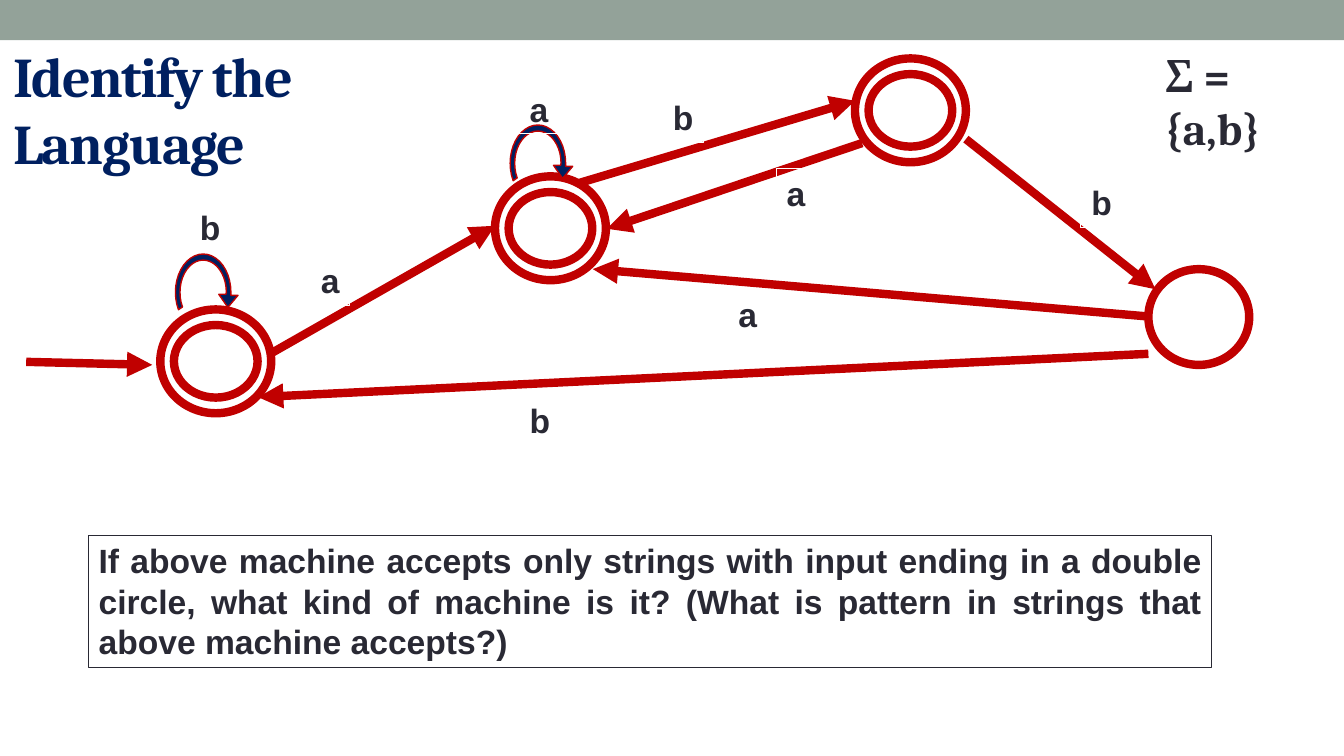
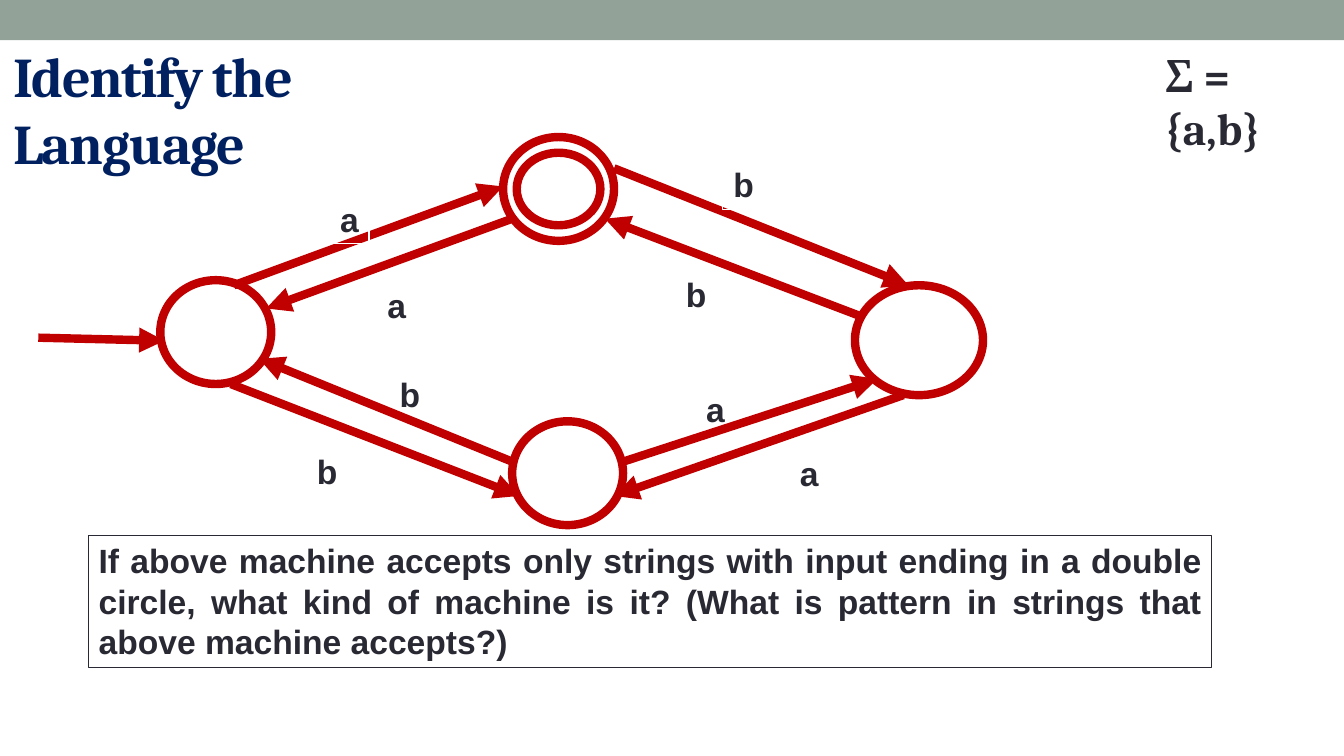
from dataclasses import dataclass
from math import cos, radians, sin

from lxml.etree import SubElement
from pptx import Presentation
from pptx.dml.color import RGBColor
from pptx.enum.shapes import MSO_CONNECTOR as CONNECTOR, MSO_SHAPE as SHAPE
from pptx.enum.text import MSO_ANCHOR as ANCHOR, MSO_AUTO_SIZE as AUTO_SIZE, PP_ALIGN as ALIGN
from pptx.oxml.ns import qn
from pptx.util import Inches, Pt


@dataclass(frozen=True)
class Theme:
    band: RGBColor = RGBColor.from_string("93A299")
    navy: RGBColor = RGBColor.from_string("002060")
    red: RGBColor = RGBColor.from_string("C00000")
    ink: RGBColor = RGBColor.from_string("292934")
    white: RGBColor = RGBColor.from_string("FFFFFF")
    heading_font: str = "Cambria"
    body_font: str = "Arial"
    title_size: Pt = Pt(40)
    alphabet_size: Pt = Pt(32)
    body_size: Pt = Pt(24)
    stroke: Pt = Pt(6)
    hairline: Pt = Pt(0.75)


theme = Theme()


def write(shape, text, font, size, color, align):
    shape.text_frame.text = text
    paragraph = shape.text_frame.paragraphs[0]
    paragraph.alignment = align
    run = paragraph.runs[0]
    run.font.name, run.font.size, run.font.bold = font, size, True
    run.font.color.rgb = color
    return run


def add_label(slide, text, left, top):
    width = 0.39 if text == "a" else 0.41
    label = slide.shapes.add_textbox(Inches(left), Inches(top), Inches(width), Inches(0.5))
    label.line.color.rgb = theme.white
    label.line.width = theme.hairline
    label.text_frame.word_wrap = False
    write(label, text, theme.body_font, theme.body_size, theme.ink, ALIGN.CENTER)


TITLE = "Identify the Language"
ALPHABET = "Σ = {a,b}"
QUESTION = (
    "If above machine accepts only strings with input ending in a double circle, "
    "what kind of machine is it? (What is pattern in strings that above machine accepts?)"
)
STATE_SIZE = (1.1, 1.03)
ACCEPT_SIZE = (0.83, 0.72)

machines = [
    {
        "states": [
            (1.59, 3.07, *STATE_SIZE, True),
            (4.91, 1.75, *STATE_SIZE, True),
            (8.48, 0.58, *STATE_SIZE, True),
            (11.39, 2.67, 1, 0.95, False),
        ],
        "arrows": [
            (0.26, 3.59, 1.51, 3.62),
            (2.68, 3.51, 4.91, 2.24),
            (5.73, 1.82, 8.48, 1),
            (8.55, 1.42, 6.02, 2.27),
            (9.58, 1.38, 11.46, 2.87),
            (11.39, 3.14, 5.88, 2.67),
            (11.39, 3.51, 2.56, 3.94),
        ],
        "loops": [(1.74, 2.52), (5.06, 1.24)],
        "labels_under": [],
        "labels_over": [
            ("b", 1.88, 2), ("a", 3.08, 2.53), ("a", 5.15, 0.83), ("b", 6.57, 0.91),
            ("a", 7.7, 1.67), ("b", 10.72, 1.76), ("a", 7.22, 2.87), ("b", 5.15, 3.92),
        ],
    },
    {
        "states": [
            (1.59, 2.78, *STATE_SIZE, False),
            (4.99, 1.36, *STATE_SIZE, True),
            (5.08, 4.18, *STATE_SIZE, False),
            (8.48, 2.83, 1.27, 1.09, False),
        ],
        "arrows": [
            (0.38, 3.35, 1.63, 3.38),
            (2.32, 2.83, 4.99, 1.85),
            (5.08, 2.17, 2.64, 3.06),
            (6.09, 1.67, 9.01, 2.83),
            (8.57, 3.15, 6, 2.17),
            (2.29, 3.81, 5.15, 4.92),
            (5.08, 4.58, 2.57, 3.56),
            (6.18, 4.58, 8.7, 3.76),
            (8.96, 3.92, 6.09, 4.92),
        ],
        "loops": [],
        "labels_under": [("b", 3.86, 3.66), ("a", 6.9, 3.81)],
        "labels_over": [
            ("a", 3.27, 1.92), ("a", 3.74, 2.78), ("b", 7.17, 1.58),
            ("b", 6.7, 2.67), ("b", 3.04, 4.42), ("a", 7.83, 4.44),
        ],
    },
]

arc_angles = [radians(degrees) for degrees in range(0, -208, -9)]
inner_arc = [(0.275 + 0.23 * cos(angle), 0.38 + 0.32 * sin(angle)) for angle in arc_angles]
outer_arc = [(0.275 + 0.275 * cos(angle), 0.38 + 0.38 * sin(angle)) for angle in reversed(arc_angles)]
loop_head = [(0.55, 0.41), (0.62, 0.41), (0.52, 0.53), (0.43, 0.4), (0.5, 0.4)]
loop_outline = inner_arc + outer_arc + loop_head

presentation = Presentation()
presentation.slide_width = Inches(13.33)
presentation.slide_height = Inches(7.5)
layout = presentation.slide_layouts.get_by_name("Title Only")

layout_title = layout.placeholders[0]
layout_title.left, layout_title.top = Inches(0.03), Inches(0.36)
layout_title.width, layout_title.height = Inches(5.31), Inches(1)
layout_title.text_frame.vertical_anchor = ANCHOR.TOP
layout_title.text_frame.auto_size = AUTO_SIZE.NONE

for machine in machines:
    slide = presentation.slides.add_slide(layout)

    if machine is machines[0]:
        band = slide.shapes.add_shape(SHAPE.RECTANGLE, 0, 0, presentation.slide_width, Inches(0.4))
        band.shadow.inherit = False
        band.fill.solid()
        band.fill.fore_color.rgb = theme.band
        band.line.fill.background()
        layout.shapes._spTree.insert(2, band._element)

    title_run = write(slide.shapes.title, TITLE, theme.heading_font, theme.title_size, theme.navy, ALIGN.LEFT)
    title_run._r.get_or_add_rPr().set("spc", "-100")

    alphabet = slide.shapes.add_textbox(Inches(11.46), Inches(0.42), Inches(1.86), Inches(0.64))
    alphabet.text_frame.word_wrap = True
    alphabet.text_frame.margin_right = Inches(0.4)
    write(alphabet, ALPHABET, theme.heading_font, theme.alphabet_size, theme.ink, ALIGN.LEFT)

    question = slide.shapes.add_textbox(Inches(0.88), Inches(5.31), Inches(11.14), Inches(1.31))
    question.line.color.rgb = theme.ink
    question.line.width = theme.hairline
    question.text_frame.word_wrap = True
    write(question, QUESTION, theme.body_font, theme.body_size, theme.ink, ALIGN.JUSTIFY)

    for left, top, width, height, accepting in machine["states"]:
        rings = [(width, height)] + ([ACCEPT_SIZE] if accepting else [])
        for ring_width, ring_height in rings:
            ring = slide.shapes.add_shape(
                SHAPE.OVAL,
                Inches(left + (width - ring_width) / 2),
                Inches(top + (height - ring_height) / 2),
                Inches(ring_width),
                Inches(ring_height),
            )
            ring.shadow.inherit = False
            ring.fill.background()
            ring.line.color.rgb = theme.red
            ring.line.width = theme.stroke

    for label in machine["labels_under"]:
        add_label(slide, *label)

    for ends in machine["arrows"]:
        arrow = slide.shapes.add_connector(CONNECTOR.STRAIGHT, *map(Inches, ends))
        arrow.line.color.rgb = theme.red
        arrow.line.width = theme.stroke
        SubElement(arrow.line._get_or_add_ln(), qn("a:tailEnd"), type="triangle")
        SubElement(arrow._element.spPr, qn("a:effectLst"))

    for left, top in machine["loops"]:
        points = [(Inches(left + x), Inches(top + y)) for x, y in loop_outline]
        builder = slide.shapes.build_freeform(*points[0])
        builder.add_line_segments(points[1:], close=True)
        loop = builder.convert_to_shape()
        loop.shadow.inherit = False
        loop.fill.solid()
        loop.fill.fore_color.rgb = theme.navy
        loop.line.color.rgb = theme.red
        loop.line.width = Pt(1)

    for label in machine["labels_over"]:
        add_label(slide, *label)

presentation.save("out.pptx")
